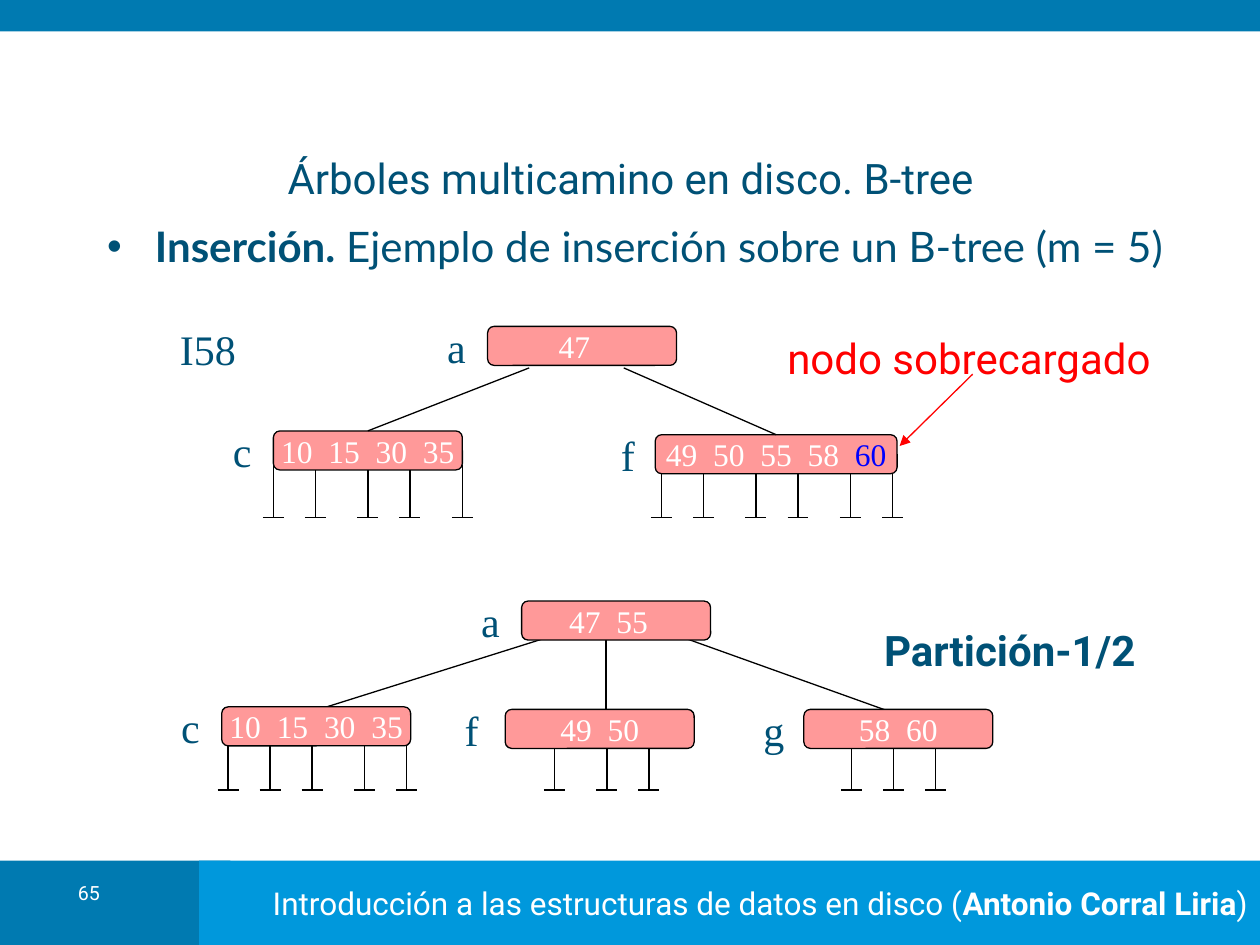
from lxml import etree
from pptx import Presentation
from pptx.dml.color import RGBColor
from pptx.enum.shapes import MSO_CONNECTOR, MSO_SHAPE
from pptx.enum.text import MSO_ANCHOR, PP_ALIGN
from pptx.oxml.ns import qn
from pptx.util import Inches, Pt

RECT, ROUNDED = MSO_SHAPE.RECTANGLE, MSO_SHAPE.ROUNDED_RECTANGLE
STRAIGHT = MSO_CONNECTOR.STRAIGHT
LEFT, CENTER, RIGHT = PP_ALIGN.LEFT, PP_ALIGN.CENTER, PP_ALIGN.RIGHT
TOP, MIDDLE = MSO_ANCHOR.TOP, MSO_ANCHOR.MIDDLE
TOP_SIDE = 0

DARK_BLUE = RGBColor(0x00, 0x7A, 0xB1)
LIGHT_BLUE = RGBColor(0x00, 0x98, 0xDC)
INK = RGBColor(0x00, 0x51, 0x76)
PINK = RGBColor(0xFF, 0x99, 0x99)
RED = RGBColor(0xFF, 0x00, 0x00)
BLUE = RGBColor(0x00, 0x00, 0xFF)
BLACK = RGBColor(0x00, 0x00, 0x00)
WHITE = RGBColor(0xFF, 0xFF, 0xFF)

SANS, BODY_FONT, SERIF = "Roboto", "Lato", "Times New Roman"

UNIT = 1 / 12           # column of the grid the leaf pointers stand on
NODE_WIDTH, NODE_HEIGHT = 1.5, 0.31
STEM_HEIGHT = 0.42
KEY_GAP = "450"         # extra width of the space between keys, 1/100 pt
ROOT_SHIFT = 0.12       # extra right inset that moves root keys leftwards


def style(paragraph, font, size, color, bold=None, align=LEFT):
    paragraph.alignment = align
    paragraph.font.name = font
    paragraph.font.size = Pt(size)
    paragraph.font.color.rgb = color
    paragraph.font.bold = bold


def add_runs(paragraph, *parts):
    """Add (text, bold) parts to a paragraph."""
    for text, bold in parts:
        run = paragraph.add_run()
        run.text = text
        run.font.bold = bold


def place(shape, left, top, width, height):
    shape.left, shape.top = Inches(left), Inches(top)
    shape.width, shape.height = Inches(width), Inches(height)


def add_text(slide, text, box, font, size, color, bold=None, align=CENTER, anchor=MIDDLE):
    frame = slide.shapes.add_textbox(*map(Inches, box)).text_frame
    frame.word_wrap = True
    frame.vertical_anchor = anchor
    paragraph = frame.paragraphs[0]
    paragraph.text = text
    style(paragraph, font, size, color, bold, align)
    return paragraph


def add_box(slide, kind, box, fill, outline=None):
    shape = slide.shapes.add_shape(kind, *map(Inches, box))
    shape.shadow.inherit = False
    shape.fill.solid()
    shape.fill.fore_color.rgb = fill
    if outline is None:
        shape.line.fill.background()
    else:
        shape.line.color.rgb = outline
        shape.line.width = Pt(0.75)
    shape.text_frame.word_wrap = False
    shape.text_frame.vertical_anchor = MIDDLE
    return shape


def add_line(slide, start, end, color=BLACK, arrow=False):
    line = slide.shapes.add_connector(STRAIGHT, *map(Inches, (*start, *end)))
    line.line.color.rgb = color
    line.line.width = Pt(0.75)
    if arrow:
        outline = line.line._get_or_add_ln()
        etree.SubElement(outline, qn("a:tailEnd"), type="triangle")
    etree.SubElement(line._element.spPr, qn("a:effectLst"))
    return line


def add_leaves(slide, left, top, columns):
    """Draw null pointers: a stem on each grid column, closed by a short bar."""
    bottom = top + STEM_HEIGHT
    for column in columns:
        x = left + column * UNIT
        add_line(slide, (x, top), (x, bottom))
        add_line(slide, (x - UNIT, bottom), (x + UNIT, bottom))


def add_label(slide, text, left, top, width=0.33):
    add_text(slide, text, (left, top, width, 0.5), SERIF, 24, INK, align=LEFT, anchor=TOP)


def add_node(slide, label, keys, left, top, width=NODE_WIDTH, label_gap=0.42,
             shift=0, overflow_key=None):
    node = add_box(slide, ROUNDED, (left, top, width, NODE_HEIGHT), PINK, BLACK)
    node.text_frame.margin_right = Inches(0.1 + shift)
    paragraph = node.text_frame.paragraphs[0]
    style(paragraph, SERIF, 18, WHITE, align=CENTER)
    for index, key in enumerate(keys):
        if index:
            gap = paragraph.add_run()
            gap.text = " "
            gap._r.get_or_add_rPr().set("spc", KEY_GAP)
        run = paragraph.add_run()
        run.text = str(key)
        if key == overflow_key:
            run.font.color.rgb = BLUE
    add_label(slide, label, left - label_gap, top - 0.09)
    return node


def add_bands(slide):
    add_box(slide, RECT, (0, 6.83, 1.83, 0.67), DARK_BLUE)
    footer = add_box(slide, RECT, (1.58, 6.83, 8.42, 0.67), LIGHT_BLUE)
    credit = footer.text_frame.paragraphs[0]
    style(credit, SANS, 18, WHITE, align=RIGHT)
    add_runs(credit, ("Introducción a las estructuras de datos en disco (", False),
             ("Antonio Corral Liria", True), (")", False))
    add_box(slide, RECT, (0, 0, 10, 0.25), DARK_BLUE)
    number = add_text(slide, "65", (0.35, 6.98, 0.71, 0.32), SANS, 11.2, WHITE, anchor=TOP)
    number.line_spacing = 0.8


def fill_placeholders(slide):
    title, body = slide.placeholders
    place(title, 0.83, 1.2, 8.35, 0.42)
    title.text_frame.vertical_anchor = MIDDLE
    heading = title.text_frame.paragraphs[0]
    heading.text = "Árboles multicamino en disco. B-tree"
    style(heading, SANS, 24, INK, align=CENTER)

    place(body, 0.75, 1.7, 9.05, 5.12)
    item = body.text_frame.paragraphs[0]
    properties = item._p.get_or_add_pPr()
    properties.set("marL", str(Inches(0.38)))
    properties.set("indent", str(-Inches(0.38)))
    bullet_color = etree.SubElement(properties, qn("a:buClr"))
    etree.SubElement(bullet_color, qn("a:srgbClr"), val=str(INK))
    etree.SubElement(properties, qn("a:buChar"), char="•")
    item.space_before = Pt(0)
    style(item, BODY_FONT, 24, INK)
    add_runs(item, ("Inserción.", True),
             (" Ejemplo de inserción sobre un B-tree (m = 5)", False))


def add_overloaded_tree(slide):
    add_label(slide, "I58", 1.33, 2.52, width=0.92)
    add_leaves(slide, 2.17, 3.69, (0, 4, 9, 13, 18))
    add_leaves(slide, 5.25, 3.69, (0, 4, 9, 13, 18, 22))
    add_node(slide, "a", (47,), 3.87, 2.59, shift=ROOT_SHIFT)
    node_c = add_node(slide, "c", (10, 15, 30, 35), 2.17, 3.42)
    node_f = add_node(slide, "f", (49, 50, 55, 58, 60), 5.2, 3.45, width=1.92,
                      label_gap=0.37, overflow_key=60)
    for start_x, end, child in ((4.2, (2.92, 3.42), node_c), (4.95, (6.16, 3.45), node_f)):
        add_line(slide, (start_x, 2.92), end).end_connect(child, TOP_SIDE)
    add_text(slide, "nodo sobrecargado", (6.02, 2.59, 3.34, 0.5), SANS, 24, RED)
    add_line(slide, (7.72, 2.97), (7.14, 3.54), RED, arrow=True)


def add_split_tree(slide):
    for left, columns in ((1.81, (0, 4, 8, 13, 17)), (4.4, (0, 5, 9)), (6.76, (0, 4, 8))):
        add_leaves(slide, left, 5.85, columns)
    # Edges run behind the nodes
    for start_x, end_x in ((4.47, 2.34), (4.81, 4.81), (5.31, 7.18)):
        add_line(slide, (start_x, 5.02), (end_x, 5.69))
    add_node(slide, "a", (47, 55), 4.14, 4.77, shift=ROOT_SHIFT)
    add_node(slide, "c", (10, 15, 30, 35), 1.76, 5.61)
    add_node(slide, "f", (49, 50), 4.01, 5.63)
    add_node(slide, "g", (58, 60), 6.38, 5.63)
    add_text(slide, "Partición-1/2", (6.78, 4.91, 2.47, 0.5), SANS, 24, INK, bold=True)


def main():
    presentation = Presentation()
    presentation.slide_width, presentation.slide_height = Inches(10), Inches(7.5)
    slide = presentation.slides.add_slide(presentation.slide_layouts[1])
    add_bands(slide)
    fill_placeholders(slide)
    add_overloaded_tree(slide)
    add_split_tree(slide)
    presentation.save("out.pptx")


if __name__ == "__main__":
    main()
